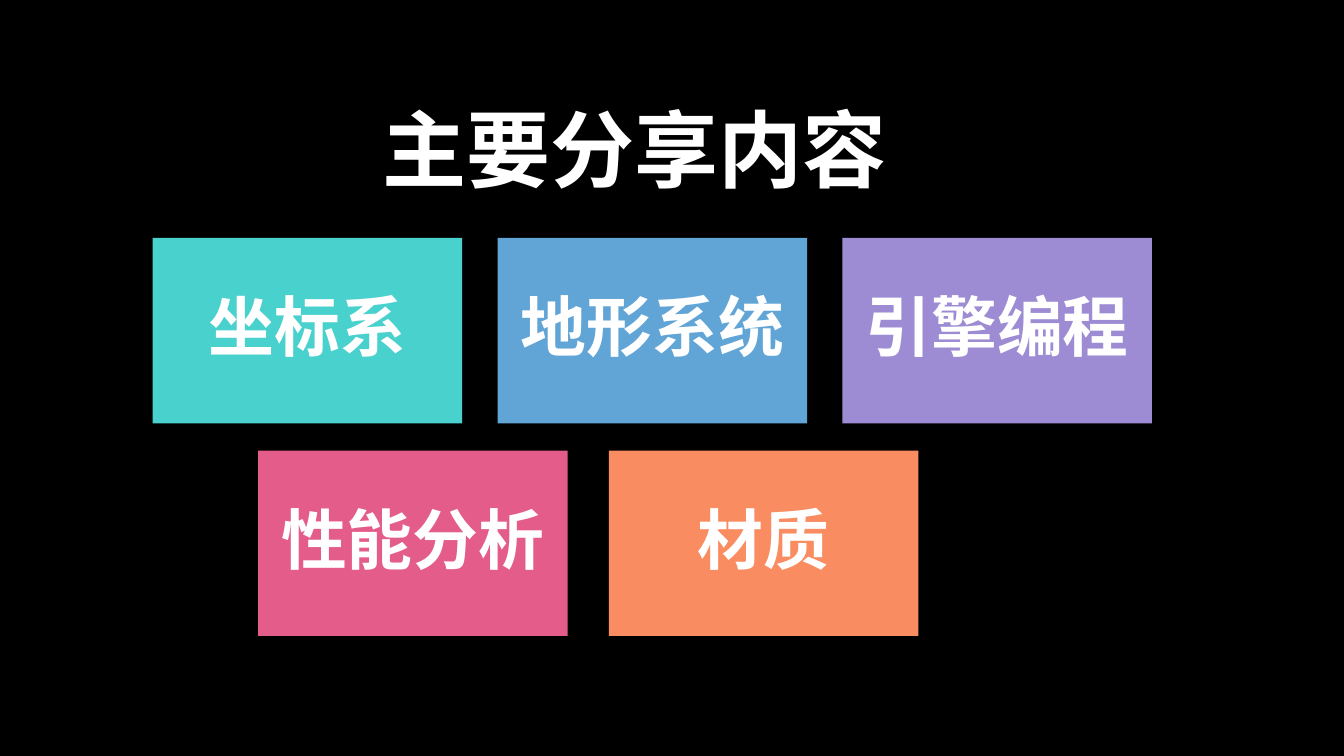
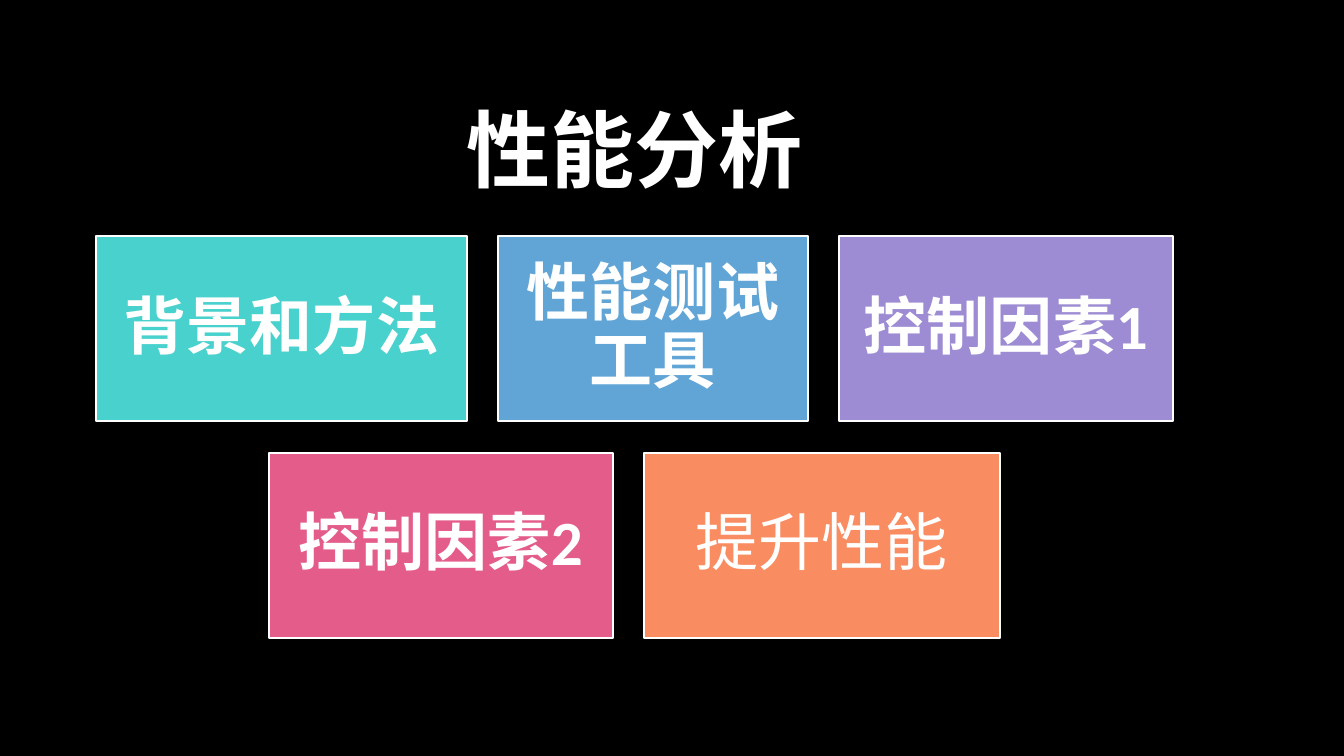
from dataclasses import dataclass
from pptx import Presentation
from pptx.dml.color import RGBColor
from pptx.enum.shapes import MSO_SHAPE
from pptx.enum.text import MSO_ANCHOR, PP_ALIGN
from pptx.util import Inches, Pt

WIDE, HIGH = Inches(13.33), Inches(7.5)
COLS = ROWS = 100


@dataclass(frozen=True)
class Theme:
    """Hold the colours, font and sizes that the slides share."""
    back: str = "000000"
    ink: str = "FFFFFF"
    fills: tuple = ("49D1CD", "61A5D6", "9D8CD3", "E45C8A", "F98C61")
    font: str = "Calibri"
    title: int = 60
    edge: float = 1.5


LOOK = Theme()
TITLE = (5.63, 8.93, 83.12, 21.2)
TALL = 24.53

DECKS = [
    dict(title="主要分享内容", size=47, pad=0.2, edge=False, rows=[
        dict(mid=48.54, top=31.47, gap=2.63, tiles=[
            ("坐标系", 23.03, True), ("地形系统", 23.03, True),
            ("引擎编程", 23.03, True)]),
        dict(mid=43.77, top=59.6, gap=3.08, tiles=[
            ("性能分析", 23.03, True), ("材质", 23.03, True)])]),
    dict(title="性能分析", size=45, pad=0.19, edge=True, rows=[
        dict(mid=47.2, top=31.2, gap=2.33, tiles=[
            ("背景和方法", 27.6, True), ("性能测试工具", 23.03, True),
            ("控制因素1", 24.83, True)]),
        dict(mid=47.2, top=59.87, gap=2.33, tiles=[
            ("控制因素2", 25.58, True), ("提升性能", 26.48, False)])]),
]


def place(box):
    """Turn a box of grid columns and rows into slide lengths."""
    x, y, w, h = box
    return [int(n) for n in (x * WIDE / COLS, y * HIGH / ROWS,
                             w * WIDE / COLS, h * HIGH / ROWS)]


def apply(item, form):
    """Set each attribute of an item from a dict."""
    for name, value in form.items():
        setattr(item, name, value)


def write(shape, text, size, bold=True, pad=None, lead=None):
    """Put one centred line of text in a shape."""
    frame = shape.text_frame
    form = dict(word_wrap=True, vertical_anchor=MSO_ANCHOR.MIDDLE)
    if pad is not None:
        form.update({f"margin_{side}": Inches(pad)
                     for side in ("left", "top", "right", "bottom")})
    apply(frame, form)
    para = frame.paragraphs[0]
    apply(para, dict(alignment=PP_ALIGN.CENTER, line_spacing=lead))
    run = para.add_run()
    run.text = text
    apply(run.font, dict(name=LOOK.font, size=Pt(size), bold=bold))
    run.font.color.rgb = RGBColor.from_string(LOOK.ink)


def head(slide, box, text):
    """Draw the slide title in its box."""
    write(slide.shapes.add_textbox(*place(box)), text, LOOK.title)


def tile(slide, box, fill, edge):
    """Draw one coloured tile, with a thin edge if asked."""
    shape = slide.shapes.add_shape(MSO_SHAPE.RECTANGLE, *place(box))
    shape.shadow.inherit = False
    shape.fill.solid()
    shape.fill.fore_color.rgb = RGBColor.from_string(fill)
    if edge:
        shape.line.color.rgb = RGBColor.from_string(LOOK.ink)
        shape.line.width = Pt(LOOK.edge)
    else:
        shape.line.fill.background()
    return shape


def band(slide, row, fills, deck):
    """Lay a row of tiles with equal gaps around its middle."""
    tiles, gap = row["tiles"], row["gap"]
    span = sum(wide for _, wide, _ in tiles) + gap * (len(tiles) - 1)
    left = row["mid"] - span / 2
    for text, wide, bold in tiles:
        box = (left, row["top"], wide, TALL)
        shape = tile(slide, box, next(fills), deck["edge"])
        write(shape, text, deck["size"], bold, deck["pad"], 0.9)
        left += wide + gap


def page(show, deck):
    """Build one slide with a title and rows of tiles."""
    slide = show.slides.add_slide(show.slide_layouts[6])
    head(slide, TITLE, deck["title"])
    fills = iter(LOOK.fills)
    for row in deck["rows"]:
        band(slide, row, fills, deck)


def main():
    """Build and save the slides."""
    show = Presentation()
    apply(show, dict(slide_width=WIDE, slide_height=HIGH))
    back = show.slide_master.background.fill
    back.solid()
    back.fore_color.rgb = RGBColor.from_string(LOOK.back)
    for deck in DECKS:
        page(show, deck)
    show.save("out.pptx")


if __name__ == "__main__":
    main()
